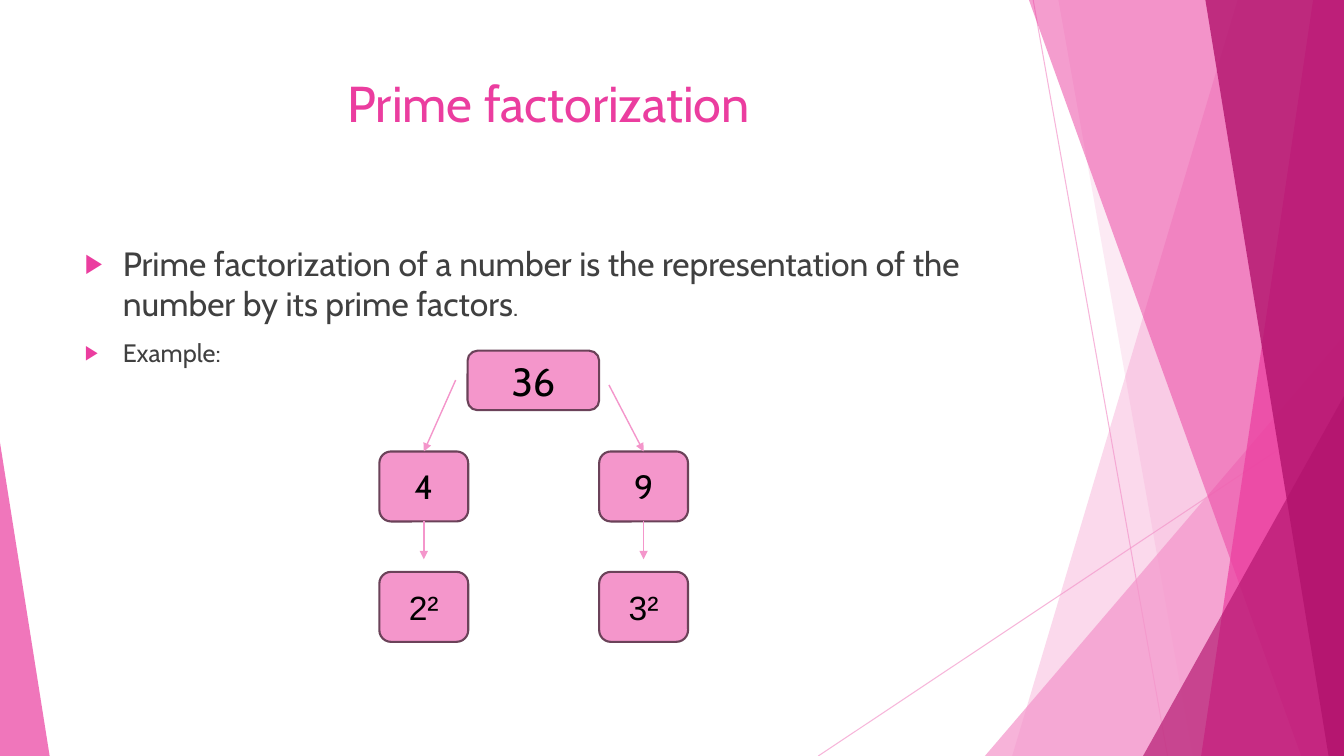
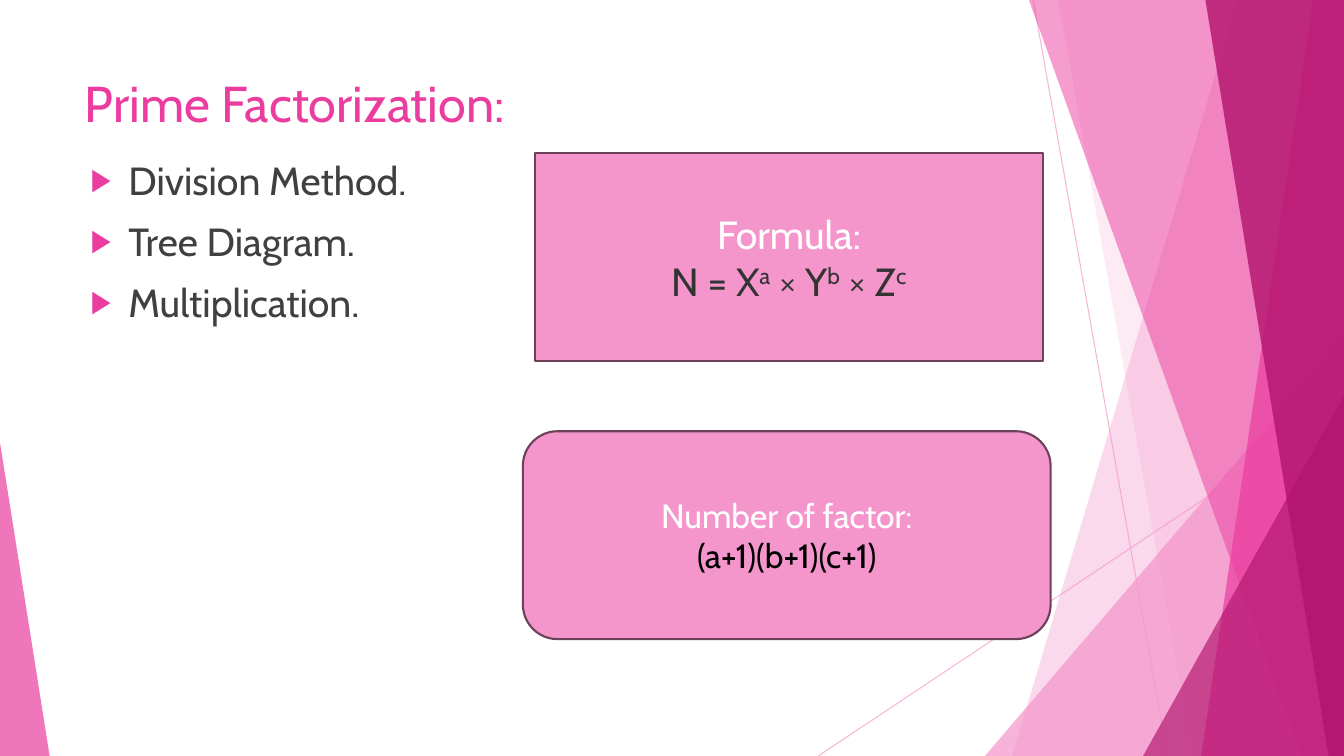
from dataclasses import dataclass

from lxml.etree import SubElement
from pptx import Presentation
from pptx.dml.color import RGBColor
from pptx.enum.shapes import MSO_CONNECTOR, MSO_SHAPE
from pptx.enum.text import MSO_ANCHOR, MSO_AUTO_SIZE, PP_ALIGN
from pptx.oxml.ns import qn
from pptx.util import Pt


@dataclass(frozen=True)
class Theme:
    light: str = "F496CB"
    accent: str = "EB3D9F"
    deep: str = "B2136D"
    outline: str = "6B4259"
    body: str = "404040"
    formula: str = "333333"
    black: str = "000000"
    white: str = "FFFFFF"
    font: str = "Cabin"
    power_font: str = "Arial"
    title_size: int = 36
    large: int = 28
    medium: int = 24
    small: int = 18


THEME = Theme()
WIDTH, HEIGHT = 960, 540

RAYS = [((738, 0), (834, HEIGHT)), ((WIDTH, 290), (584.5, HEIGHT))]
BACK_BANDS = [(884, 723, THEME.light, 36), (756, 852, THEME.light, 20)]
FRONT_BANDS = [
    (735, 929.5, THEME.accent, 50),
    (938, 858, THEME.accent, 70),
    (861, 949, THEME.deep, 80),
]


def points(*lengths):
    return [Pt(length) for length in lengths]


def set_opacity(shape, percent):
    color = shape.element.xpath(".//a:srgbClr")[0]
    SubElement(color, qn("a:alpha"), val=str(percent * 1000))


def paint(shape, color, outline=None):
    shape.shadow.inherit = False
    shape.fill.solid()
    shape.fill.fore_color.rgb = RGBColor.from_string(color)
    if outline:
        shape.line.color.rgb = RGBColor.from_string(outline)
        shape.line.width = Pt(1.5)
    else:
        shape.line.fill.background()


def style_text(paragraph, size, color, font=THEME.font):
    paragraph.font.name = font
    paragraph.font.size = Pt(size)
    paragraph.font.color.rgb = RGBColor.from_string(color)


def add_line(slide, start, end, weight):
    line = slide.shapes.add_connector(MSO_CONNECTOR.STRAIGHT, *points(*start, *end))
    line.line.color.rgb = RGBColor.from_string(THEME.light)
    line.line.width = Pt(weight)
    SubElement(line.element.spPr, qn("a:effectLst"))
    return line


def add_arrow(slide, start, end):
    arrow = add_line(slide, start, end, 1)
    SubElement(arrow.element.xpath(".//a:ln")[0], qn("a:tailEnd"), type="triangle")
    return arrow


def add_ray(slide, start, end):
    ray = add_line(slide, start, end, 0.75)
    set_opacity(ray, 70)
    return ray


def add_band(slide, top_x, bottom_x, color, opacity):
    outline = slide.shapes.build_freeform(*points(top_x, 0))
    corners = [(WIDTH, 0), (WIDTH, HEIGHT), (bottom_x, HEIGHT)]
    outline.add_line_segments([points(*corner) for corner in corners])
    band = outline.convert_to_shape()
    paint(band, color)
    set_opacity(band, opacity)
    return band


def add_corner(slide, left, top, width, apex, color, opacity):
    corner = slide.shapes.add_shape(
        MSO_SHAPE.ISOSCELES_TRIANGLE, *points(left, top, width, HEIGHT - top))
    corner.adjustments[0] = apex
    paint(corner, color)
    set_opacity(corner, opacity)
    return corner


def decorate_layout(layout, slide):
    decor = [add_ray(slide, *ray) for ray in RAYS]
    decor += [add_band(slide, *band) for band in BACK_BANDS]
    decor.append(add_corner(slide, 703.5, 240, 256.5, 1, THEME.light, 72))
    decor += [add_band(slide, *band) for band in FRONT_BANDS]
    decor.append(add_corner(slide, 816.5, 283, 143.5, 1, THEME.deep, 66))
    decor.append(add_corner(slide, 0, 316, 35.5, 0, THEME.accent, 70))
    for index, shape in enumerate(decor):
        shape.element.xpath(".//p:cNvPr")[0].set("id", str(100 + index))
        layout.shapes.element.insert(2 + index, shape.element)


def place(placeholder, left, top, width, height):
    placeholder.left, placeholder.top, placeholder.width, placeholder.height = points(
        left, top, width, height)
    placeholder.text_frame.vertical_anchor = MSO_ANCHOR.TOP
    placeholder.text_frame.auto_size = MSO_AUTO_SIZE.NONE


def set_title(slide, text, alignment):
    title = slide.shapes.title
    place(title, 53.5, 48, 677, 104)
    title.text_frame.text = text
    heading = title.text_frame.paragraphs[0]
    heading.alignment = alignment
    style_text(heading, THEME.title_size, THEME.accent)


def add_bullet(paragraph, text, size):
    paragraph.text = text
    paragraph.space_before = Pt(10)
    properties = paragraph._p.get_or_add_pPr()
    properties.set("marL", str(Pt(27)))
    properties.set("indent", str(-Pt(27)))
    SubElement(SubElement(properties, qn("a:buClr")), qn("a:srgbClr"), val=THEME.accent)
    SubElement(properties, qn("a:buSzPct"), val="80000")
    SubElement(properties, qn("a:buFont"), typeface=THEME.power_font)
    SubElement(properties, qn("a:buChar"), char="▶")
    style_text(paragraph, size, THEME.body)


def set_bullets(slide, box, items):
    body = slide.placeholders[1]
    place(body, *box)
    frame = body.text_frame
    for index, (text, size) in enumerate(items):
        paragraph = frame.add_paragraph() if index else frame.paragraphs[0]
        add_bullet(paragraph, text, size)
    return frame.paragraphs


def add_card(slide, preset, box, lines, size, font=THEME.font):
    card = slide.shapes.add_shape(preset, *points(*box))
    paint(card, THEME.light, THEME.outline)
    frame = card.text_frame
    frame.vertical_anchor = MSO_ANCHOR.MIDDLE
    for index, (text, color) in enumerate(lines):
        paragraph = frame.add_paragraph() if index else frame.paragraphs[0]
        paragraph.text = text
        paragraph.alignment = PP_ALIGN.CENTER
        style_text(paragraph, size, color, font)
    return card


def add_power(paragraph, base, exponent):
    paragraph.add_run().text = base
    raised = paragraph.add_run()
    raised.text = exponent
    raised._r.get_or_add_rPr().set("baseline", "30000")


def add_node(slide, box, text, size=THEME.medium, font=THEME.font):
    return add_card(slide, MSO_SHAPE.ROUNDED_RECTANGLE, box, [(text, THEME.black)], size, font)


def add_factor_tree(slide):
    add_node(slide, (334, 250.5, 94, 42.5), "36", THEME.large)
    branches = [
        (271, "4", "2²", (325.5, 271.5)),
        (428, "9", "3²", (435, 275)),
    ]
    node_width, node_height, factor_top, power_top = 63.5, 50, 322.5, 408.5
    for left, factor, power, branch_start in branches:
        middle = left + node_width / 2
        bottom = factor_top + node_height
        node = add_node(slide, (left, factor_top, node_width, node_height), factor)
        add_node(slide, (left, power_top, node_width, node_height), power,
                 font=THEME.power_font)
        add_arrow(slide, branch_start, (middle, factor_top)).end_connect(node, 0)
        add_arrow(slide, (middle, bottom), (middle, 399.5)).begin_connect(node, 2)


def build_definition(slide):
    set_title(slide, "Prime factorization", PP_ALIGN.CENTER)
    definition, _ = set_bullets(slide, (53.5, 170, 698, 309), [
        ("Prime factorization of a number is the representation of the number "
         "by its prime factors", THEME.medium),
        ("Example:", THEME.small),
    ])
    stop = definition.add_run()
    stop.text = "."
    stop.font.size = Pt(THEME.small)
    add_factor_tree(slide)


def build_methods(slide):
    set_title(slide, "Prime Factorization:", PP_ALIGN.LEFT)
    methods = ["Division Method.", "Tree Diagram.", "Multiplication."]
    set_bullets(slide, (57.5, 108, 677, 305), [(method, THEME.large) for method in methods])
    formula = add_card(slide, MSO_SHAPE.RECTANGLE, (382, 109.5, 363, 148.5),
                       [("Formula:", THEME.white), ("", THEME.formula)], THEME.large)
    for base, exponent in [("N = X", "a"), (" × Y", "b"), (" × Z", "c")]:
        add_power(formula.text_frame.paragraphs[1], base, exponent)
    add_card(slide, MSO_SHAPE.ROUNDED_RECTANGLE, (373.5, 308, 377, 148.5),
             [("Number of factor:", THEME.white), ("(a+1)(b+1)(c+1)", THEME.black)],
             THEME.medium)


def main():
    deck = Presentation()
    deck.slide_width, deck.slide_height = points(WIDTH, HEIGHT)
    layout = deck.slide_layouts[1]
    definition, methods = [deck.slides.add_slide(layout) for _ in range(2)]
    decorate_layout(layout, definition)
    build_definition(definition)
    build_methods(methods)
    deck.save("out.pptx")


if __name__ == "__main__":
    main()
